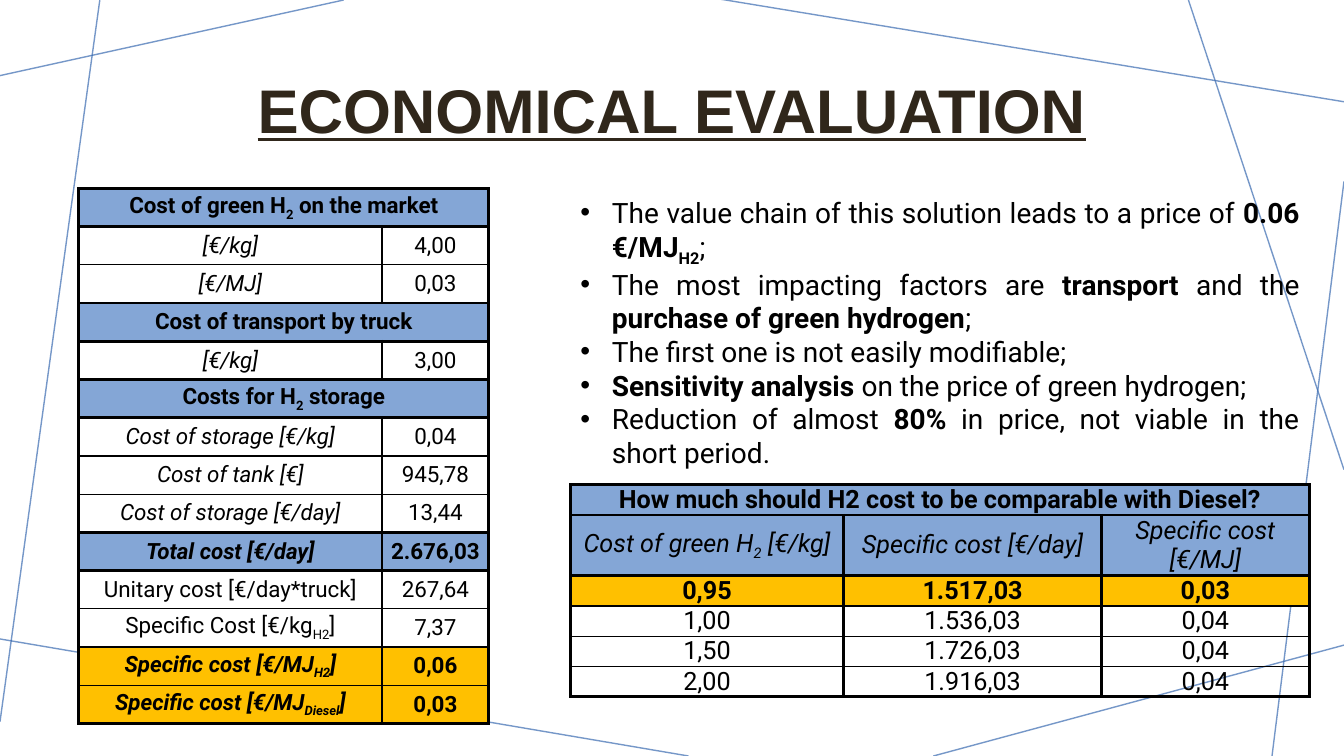
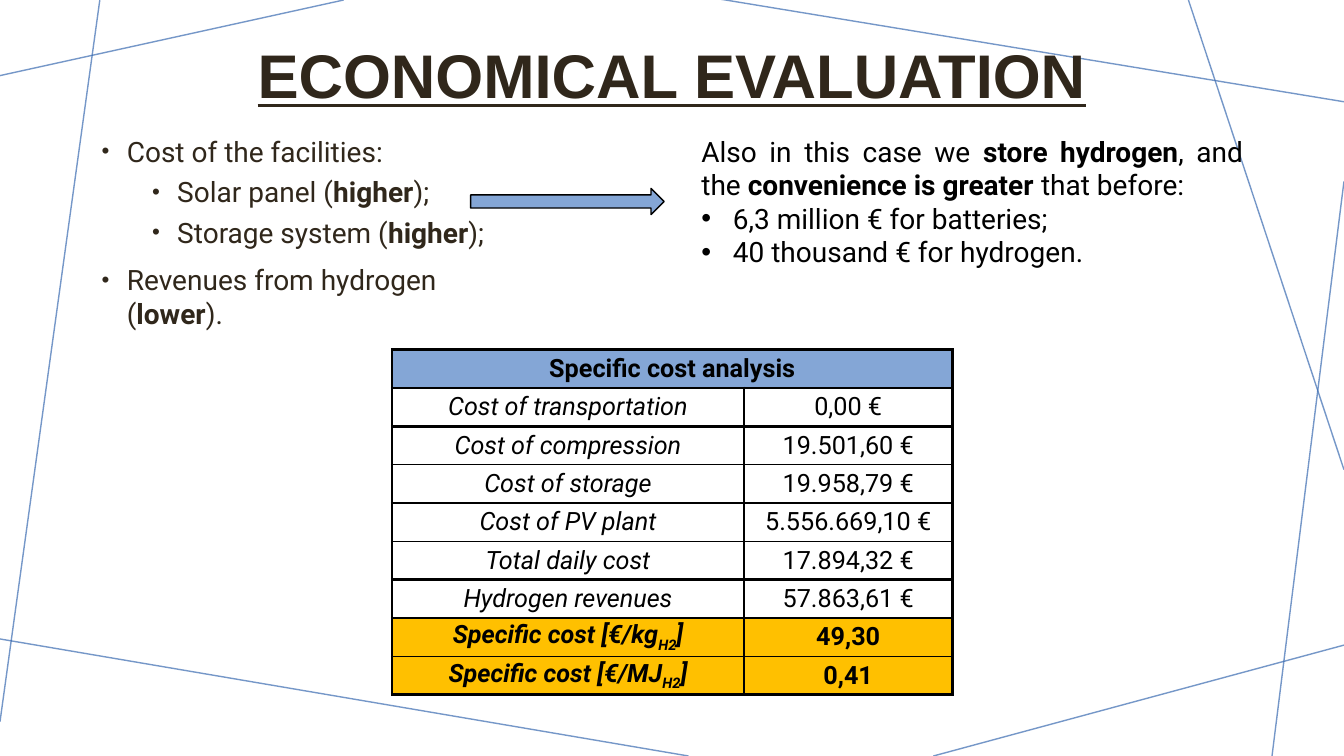
"""Build two slides on the economics of green hydrogen."""
from lxml.etree import SubElement
from pptx import Presentation
from pptx.dml.color import RGBColor
from pptx.enum.shapes import MSO_CONNECTOR, MSO_SHAPE
from pptx.enum.text import MSO_ANCHOR, PP_ALIGN
from pptx.oxml.ns import qn
from pptx.util import Pt

HUE = {"ink": "000000", "title": "30271B", "line": "3B6CB1",
       "blue": "84A6D6", "gold": "FFC000"}
FONT = "Roboto"
TITLE = "ECONOMICAL EVALUATION"
THIN, THICK = 1, 2.25

RAYS = [(245.5, 0, 0, 54), (71.3, 0, 0, 515.5), (491.8, 540, -3.6, 455.8),
        (960, 460.8, 666.7, 540), (960, 129.6, 908.6, 540),
        (960, 335.5, 848.9, 0), (960, 72.7, 514.1, -0.7)]

# fill, bold, number of italic columns
ROWS = {"head": ("blue", True, 0), "sub": ("blue", False, 3),
        "total": ("blue", True, 1), "item": (None, False, 1),
        "plain": (None, False, 0), "key": ("gold", True, 1),
        "best": ("gold", True, 0)}

# left margin, hanging indent, space before, bullet percent, level
LISTS = {"para": (0, 0, 0, 0, 0), "dot": (22.5, 22.5, 0, 100, 0),
         "main": (18, 18, 10, 80, 0), "inner": (54, 18, 5, 80, 1)}

COSTS = [
    [("head", THICK, "Cost of green H~2~ on the market"),
     ("item", THIN, "[€/kg]", "4,00"),
     ("item", THICK, "[€/MJ]", "0,03")],
    [("head", THICK, "Cost of transport by truck"),
     ("item", THICK, "[€/kg]", "3,00")],
    [("head", THICK, "Costs for H~2~ storage"),
     ("item", THIN, "Cost of storage [€/kg]", "0,04"),
     ("item", THIN, "Cost of tank [€]", "945,78"),
     ("item", THICK, "Cost of storage [€/day]", "13,44")],
    [("total", THICK, "Total cost [€/day]", "2.676,03"),
     ("plain", THIN, "Unitary cost [€/day*truck]", "267,64"),
     ("plain", THICK, "Specific Cost [€/kg~H2~]", "7,37"),
     ("key", THIN, "Specific cost [€/MJ~H2~]", "0,06"),
     ("key", THICK, "Specific cost [€/MJ~Diesel~]", "0,03")]]

DIESEL = [
    ("head", THICK, "How much should H2 cost to be comparable with Diesel?"),
    ("sub", THICK, "Cost of green H~2~ [€/kg]", "Specific cost [€/day]",
     "Specific cost [€/MJ]"),
    ("best", THICK, "0,95", "1.517,03", "0,03"),
    ("plain", THIN, "1,00", "1.536,03", "0,04"),
    ("plain", THIN, "1,50", "1.726,03", "0,04"),
    ("plain", THICK, "2,00", "1.916,03", "0,04")]

PLANT = [
    ("head", THICK, "Specific cost analysis"),
    ("item", THICK, "Cost of transportation", "0,00 €"),
    ("item", THIN, "Cost of compression", "19.501,60 €"),
    ("item", THICK, "Cost of storage", "19.958,79 €"),
    ("item", THIN, "Cost of PV plant", "5.556.669,10 €"),
    ("item", THICK, "Total daily cost", "17.894,32 €"),
    ("item", THICK, "Hydrogen revenues", "57.863,61 €"),
    ("key", THIN, "Specific cost [€/kg~H2~]", "49,30"),
    ("key", THICK, "Specific cost [€/MJ~H2~]", "0,41")]

POINTS = [
    ("dot", "The value chain of this solution leads to a price of "
            "^0.06 €/MJ~H2~^;"),
    ("dot", "The most impacting factors are ^transport^ and the "
            "^purchase of green hydrogen^;"),
    ("dot", "The first one is not easily modifiable;"),
    ("dot", "^Sensitivity analysis^ on the price of green hydrogen;"),
    ("dot", "Reduction of almost ^80%^ in price, not viable in the "
            "short period.")]

CAUSES = [("main", "Cost of the facilities:"),
          ("inner", "Solar panel (^higher^);"),
          ("inner", "Storage system (^higher^);"),
          ("main", "Revenues from hydrogen (^lower^).")]

STORE = [("para", "Also in this case we ^store hydrogen^, and the "
                  "^convenience is greater ^that before:"),
         ("dot", "6,3 million € for batteries;"),
         ("dot", "40 thousand € for hydrogen.")]


def tint(name):
    return RGBColor.from_string(HUE[name])


def write(para, text, size, hue="ink", bold=False, slant=False):
    for i, part in enumerate(text.split("^")):
        for j, bit in enumerate(part.split("~")):
            if not bit:
                continue
            run = para.add_run()
            run.text = bit
            font = run.font
            font.name, font.size = FONT, Pt(size)
            font.bold, font.italic = bold or i % 2 == 1, slant
            font.color.rgb = tint(hue)
            if j % 2:
                run._r.get_or_add_rPr().set("baseline", "-25000")


def add_box(slide, *spot):
    frame = slide.shapes.add_textbox(*map(Pt, spot)).text_frame
    frame.word_wrap = True
    return frame


def add_list(slide, spot, items, hue, align):
    frame = add_box(slide, *spot)
    for n, (kind, text) in enumerate(items):
        para = frame.add_paragraph() if n else frame.paragraphs[0]
        left, hang, gap, scale, level = LISTS[kind]
        para.alignment, para.level = align, level
        para.space_before = Pt(gap)
        write(para, text, 20, hue)
        if scale:
            prop = para._p.get_or_add_pPr()
            prop.set("marL", str(Pt(left)))
            prop.set("indent", str(-Pt(hang)))
            SubElement(prop, qn("a:buSzPct"), val=str(scale * 1000))
            SubElement(prop, qn("a:buFont"), typeface="Arial")
            SubElement(prop, qn("a:buChar"), char="•")


def edge(cell, side, width):
    prop = cell._tc.get_or_add_tcPr()
    line = SubElement(prop, qn("a:ln" + side), w=str(Pt(width)))
    fill = SubElement(line, qn("a:solidFill"))
    SubElement(fill, qn("a:srgbClr"), val=HUE["ink"])


def add_grid(slide, left, top, cols, high, rows, size):
    grid = slide.shapes.add_table(
        len(rows), len(cols), Pt(left), Pt(top), Pt(sum(cols)),
        Pt(high * len(rows))).table
    grid.first_row = grid.horz_banding = False
    for col, wide in zip(grid.columns, cols):
        col.width = Pt(wide)
    above = THICK
    for r, (kind, below, *texts) in enumerate(rows):
        grid.rows[r].height = Pt(high)
        fill, bold, slant = ROWS[kind]
        for c in range(len(cols)):
            cell = grid.cell(r, c)
            cell.margin_left = cell.margin_right = 0
            cell.margin_top = cell.margin_bottom = 0
            cell.vertical_anchor = MSO_ANCHOR.MIDDLE
            for side, width in zip("LRTB", (THICK, THICK, above, below)):
                edge(cell, side, width)
            if fill:
                cell.fill.solid()
                cell.fill.fore_color.rgb = tint(fill)
            else:
                cell.fill.background()
            if c < len(texts):
                para = cell.text_frame.paragraphs[0]
                para.alignment = PP_ALIGN.CENTER
                write(para, texts[c], size, bold=bold, slant=c < slant)
        if len(texts) == 1:
            grid.cell(r, 0).merge(grid.cell(r, len(cols) - 1))
        above = below


def add_page(deck, top, high):
    slide = deck.slides.add_slide(deck.slide_layouts[6])
    for ray in RAYS:
        line = slide.shapes.add_connector(
            MSO_CONNECTOR.STRAIGHT, *map(Pt, ray))
        line.line.color.rgb, line.line.width = tint("line"), Pt(1)
        prop = line._element.spPr
        SubElement(prop.find(".//" + qn("a:srgbClr")), qn("a:alpha"),
                   val="70000")
        SubElement(prop, qn("a:effectLst"))
    frame = add_box(slide, 90, top, 780, high)
    frame.vertical_anchor = MSO_ANCHOR.MIDDLE
    para = frame.paragraphs[0]
    para.text = TITLE
    para.alignment, para.line_spacing = PP_ALIGN.CENTER, 0.9
    font = para.runs[0].font
    font.name, font.size = "Arial", Pt(44)
    font.bold = font.underline = True
    font.color.rgb = tint("title")
    return slide


deck = Presentation()
deck.slide_width, deck.slide_height = Pt(960), Pt(540)

page = add_page(deck, 26.6, 108.7)
top, high = 134.6, 27.3
for rows in COSTS:
    add_grid(page, 56.2, top, (216.7, 76.3), high, rows, 16)
    top += high * len(rows)
add_grid(page, 407.5, 346.3, (195.1, 184.3, 148.3), 19.4, DIESEL, 18)
add_list(page, (407.5, 136.1, 527.8, 200.9), POINTS, "ink",
         PP_ALIGN.JUSTIFY)

page = add_page(deck, 20.2, 72)
add_list(page, (65.5, 92.2, 322, 158.4), CAUSES, "title", PP_ALIGN.LEFT)
arrow = page.shapes.add_shape(
    MSO_SHAPE.RIGHT_ARROW, *map(Pt, (336.2, 134.6, 138.2, 18.7)))
arrow.shadow.inherit = False
arrow.fill.solid()
arrow.fill.fore_color.rgb = tint("blue")
arrow.line.color.rgb, arrow.line.width = tint("ink"), Pt(1)
add_list(page, (493.9, 92.2, 401, 104.4), STORE, "ink", PP_ALIGN.JUSTIFY)
add_grid(page, 280.1, 249.8, (251.3, 149), 27.4, PLANT, 18)

deck.save("out.pptx")
